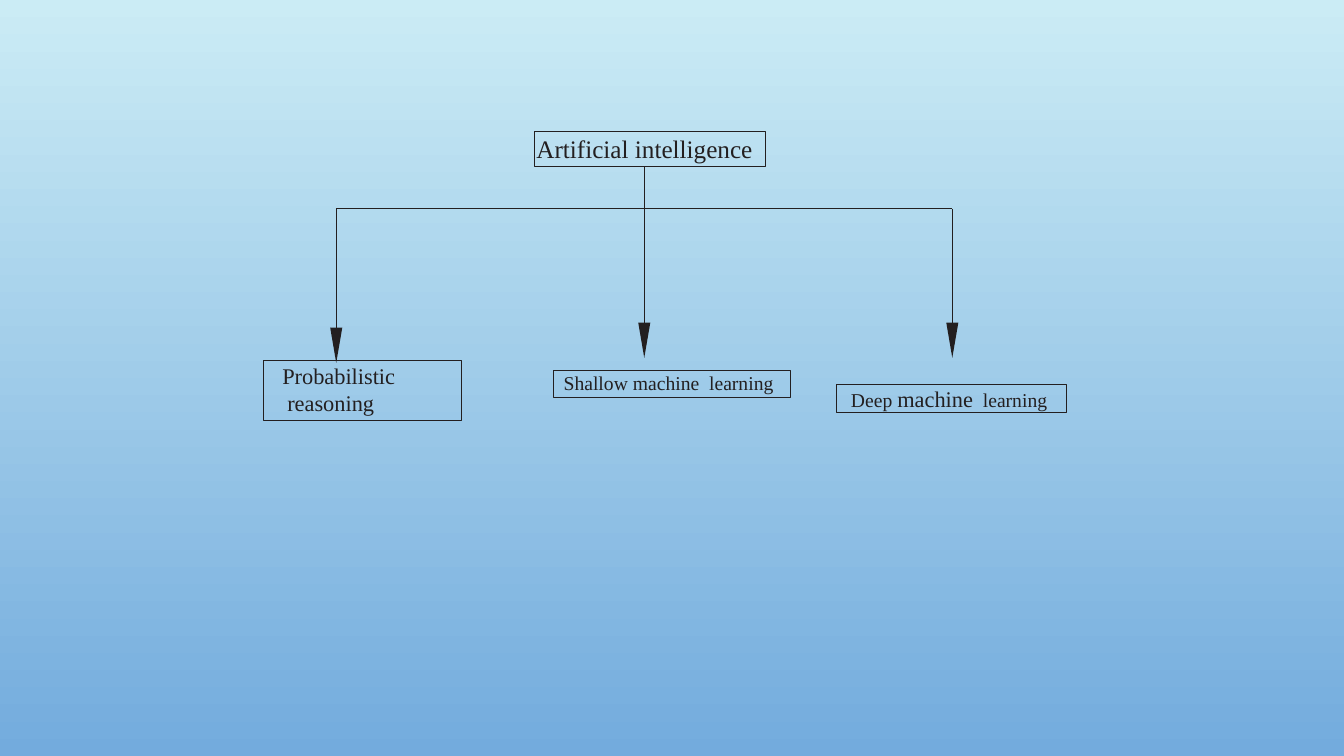
from pptx import Presentation
from pptx.dml.color import RGBColor
from pptx.enum.shapes import MSO_CONNECTOR
from pptx.enum.text import MSO_ANCHOR
from pptx.oxml.ns import qn
from pptx.util import Inches, Pt
from lxml.etree import SubElement

INK = RGBColor(0x23, 0x1F, 0x20)
SKY_TOP = RGBColor(0xCB, 0xEC, 0xF5)
SKY_BOTTOM = RGBColor(0x73, 0xAB, 0xDD)
FONT = "Times New Roman"

deck = Presentation()
deck.slide_width, deck.slide_height = Inches(13.33), Inches(7.5)
page = deck.slides.add_slide(deck.slide_layouts[6])

# Background gradient, light at the top
backdrop = page.background.fill
backdrop.gradient()
backdrop.gradient_angle = 270
for stop, color, position in zip(backdrop.gradient_stops, (SKY_TOP, SKY_BOTTOM), (0, 1)):
    stop.color.rgb = color
    stop.position = position


def add_line(x1, y1, x2, y2):
    line = page.shapes.add_connector(
        MSO_CONNECTOR.STRAIGHT, Inches(x1), Inches(y1), Inches(x2), Inches(y2))
    line.line.color.rgb = INK
    line.line.width = Pt(0.5)
    SubElement(line.element.spPr, qn("a:effectLst"))


# Branches: trunk, crossbar and one long arrowhead above each box
TRUNK_X, BRANCH_GAP = 6.39, 3.055
LEFT_X, RIGHT_X = TRUNK_X - BRANCH_GAP, TRUNK_X + BRANCH_GAP
TRUNK_TOP, BAR_Y = 1.65, 2.07
HEAD_WIDTH, HEAD_HEIGHT = 0.12, 0.35

add_line(LEFT_X, BAR_Y, RIGHT_X, BAR_Y)
for x, start_y, head_y in [(LEFT_X, BAR_Y, 3.25), (TRUNK_X, TRUNK_TOP, 3.2),
                           (RIGHT_X, BAR_Y, 3.2)]:
    add_line(x, start_y, x, head_y + 0.06)
    outline = page.shapes.build_freeform(
        Inches(x - HEAD_WIDTH / 2), Inches(head_y), scale=1.0)
    outline.add_line_segments([
        (Inches(x + HEAD_WIDTH / 2), Inches(head_y)),
        (Inches(x), Inches(head_y + HEAD_HEIGHT))], close=True)
    head = outline.convert_to_shape()
    head.shadow.inherit = False
    head.fill.solid()
    head.fill.fore_color.rgb = INK
    head.line.fill.background()

# Boxes: place, top inset, margin, first-line indent, space before, runs
boxes = [
    ((5.3, 1.3, 2.29, 0.35), 0.02, 0.02, 0, 1.2,
     [("Artificial intelligence", 18)]),
    ((2.61, 3.58, 1.97, 0.59), 0.01, 0.24, -0.05, 0.5,
     [("Probabilistic reasoning", 16)]),
    ((5.49, 3.67, 2.35, 0.27), 0.01, 0.28, -0.18, 0.7,
     [("Shallow machine  learning", 14)]),
    ((8.29, 3.81, 2.29, 0.28), 0.01, 0.27, -0.12, 0.7,
     [("Deep ", 14), ("machine", 16), ("  learning", 14)]),
]
for place, inset, margin, indent, space, runs in boxes:
    box = page.shapes.add_textbox(*[Inches(length) for length in place])
    box.line.color.rgb = INK
    box.line.width = Pt(0.5)
    frame = box.text_frame
    frame.word_wrap = True
    frame.vertical_anchor = MSO_ANCHOR.TOP
    frame.margin_left = frame.margin_right = frame.margin_bottom = 0
    frame.margin_top = Inches(inset)
    para = frame.paragraphs[0]
    para.space_before = Pt(space)
    layout = para._p.get_or_add_pPr()
    layout.set("marL", str(Inches(margin)))
    layout.set("indent", str(Inches(indent)))
    for text, size in runs:
        span = para.add_run()
        span.text = text
        span.font.name = FONT
        span.font.size = Pt(size)
        span.font.color.rgb = INK

deck.save("out.pptx")
